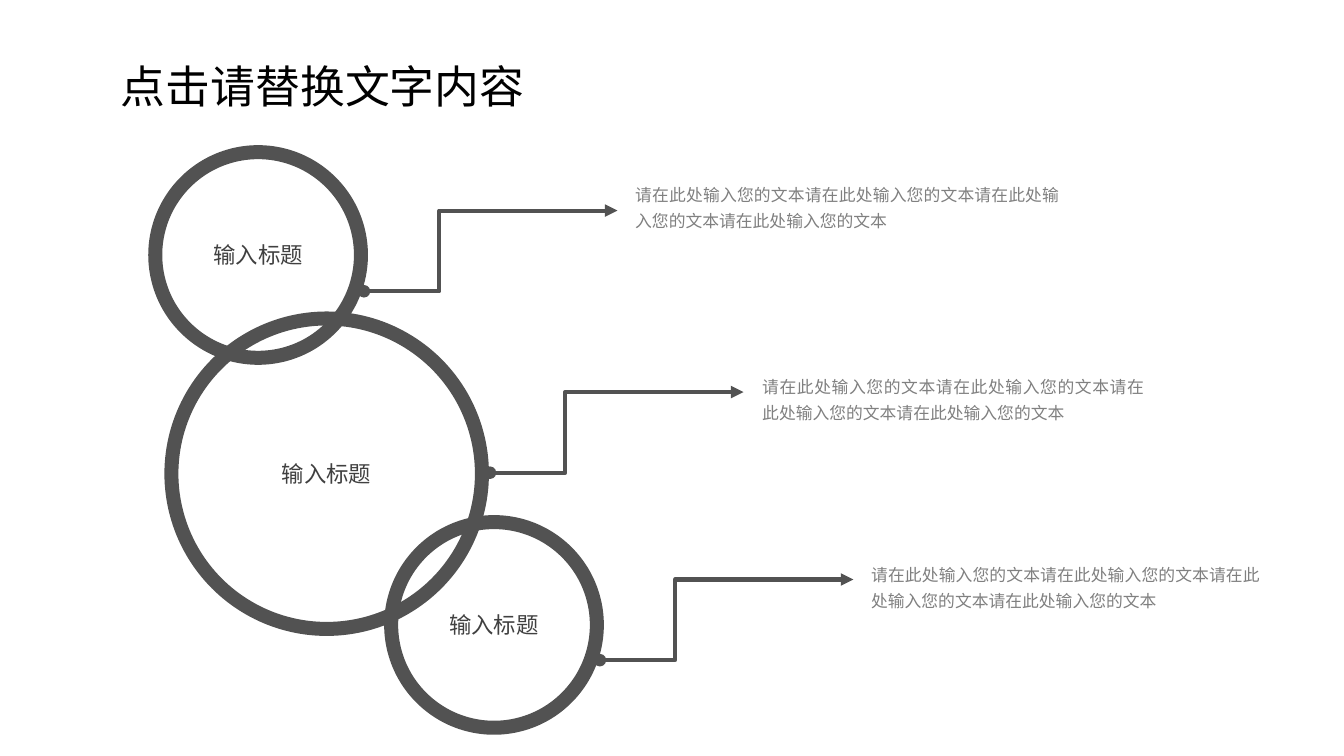
from dataclasses import dataclass
from typing import Any

import pptx
import pptx.dml.color
import pptx.enum.shapes
import pptx.enum.text
import pptx.oxml
import pptx.oxml.ns
import pptx.util

# Square grid: 75 rows over the slide's height
SLIDE_W = pptx.util.Inches(13.33)
SLIDE_H = pptx.util.Inches(7.5)
CELL = SLIDE_H / 75

RING = pptx.dml.color.RGBColor(0x52, 0x52, 0x52)
LABEL = pptx.dml.color.RGBColor(0x40, 0x40, 0x40)
BODY = pptx.dml.color.RGBColor(0x80, 0x80, 0x80)
BLACK = pptx.dml.color.RGBColor(0x00, 0x00, 0x00)

FONT = "Noto Sans CJK SC"
ALIGN = pptx.enum.text.PP_ALIGN
ANCHOR = pptx.enum.text.MSO_ANCHOR
DESCRIPTION = "请在此处输入您的文本" * 4

# Every arrow has the same run, rise and elbow
ARROW_RUN, ARROW_RISE, ELBOW_SHARE = 25.15, 8, 29700


@dataclass(frozen=True)
class Box:
    """Area in grid columns and rows."""
    col: float
    row: float
    cols: float
    rows: float


@dataclass(frozen=True)
class Topic:
    ring: Box
    arrow_col: float
    arrow_row: float
    text: Box


TOPICS = [
    Topic(Box(38.8, 51.8, 20.4, 20.4), 59.5, 65.5, Box(84.9, 49.5, 41.6, 17.1)),
    Topic(Box(17, 31.6, 30.8, 30.8), 48.6, 46.9, Box(74.1, 29.6, 40.9, 19.5)),
    Topic(Box(15.4, 15.1, 20.4, 20.4), 36.1, 28.9, Box(61.5, 13.4, 45.1, 13.9)),
]


def grid(n: float) -> int:
    return round(n * CELL)


def area(box: Box) -> tuple[int, ...]:
    return tuple(grid(n) for n in (box.col, box.row, box.cols, box.rows))


def apply(target: Any, formats: dict[str, Any]) -> None:
    for name, value in formats.items():
        setattr(target, name, value)


def write(sp: Any, text: str, size: float, color: pptx.dml.color.RGBColor,
          frame: dict[str, Any], paragraph: dict[str, Any]) -> None:
    tf = sp.text_frame
    apply(tf, frame)
    p = tf.paragraphs[0]
    apply(p, paragraph)
    r = p.add_run()
    r.text = text
    apply(r.font, {"name": FONT, "size": pptx.util.Pt(size)})
    r.font.color.rgb = color
    # East Asian typeface
    ea = pptx.oxml.parse_xml(
        f'<a:ea {pptx.oxml.ns.nsdecls("a")} typeface="{FONT}"/>')
    r.font._element.append(ea)


def margins(x: float, y: float) -> dict[str, Any]:
    return {"margin_left": pptx.util.Inches(x), "margin_right": pptx.util.Inches(x),
            "margin_top": pptx.util.Inches(y), "margin_bottom": pptx.util.Inches(y)}


def add_ring(shapes: Any, box: Box) -> None:
    sp = shapes.add_shape(pptx.enum.shapes.MSO_SHAPE.OVAL, *area(box))
    sp.shadow.inherit = False
    sp.fill.background()
    sp.line.color.rgb = RING
    sp.line.width = pptx.util.Pt(10)
    write(sp, "输入标题", 16, LABEL,
          margins(0, 0) | {"word_wrap": True, "vertical_anchor": ANCHOR.MIDDLE},
          {"alignment": ALIGN.CENTER})


def add_arrow(shapes: Any, col: float, row: float) -> None:
    cxn = shapes.add_connector(
        pptx.enum.shapes.MSO_CONNECTOR.ELBOW, grid(col), grid(row),
        grid(col + ARROW_RUN), grid(row - ARROW_RISE))
    cxn.line.color.rgb = RING
    cxn.line.width = pptx.util.Pt(3)
    ns = pptx.oxml.ns.nsdecls("a")
    sp_pr = cxn._element.spPr
    # Line ends, elbow position and no shadow
    ln = sp_pr.find(pptx.oxml.ns.qn("a:ln"))
    for tag, kind in (("headEnd", "oval"), ("tailEnd", "triangle")):
        ln.append(pptx.oxml.parse_xml(f'<a:{tag} {ns} type="{kind}"/>'))
    guides = sp_pr.find(".//" + pptx.oxml.ns.qn("a:avLst"))
    guides.append(pptx.oxml.parse_xml(
        f'<a:gd {ns} name="adj1" fmla="val {ELBOW_SHARE}"/>'))
    sp_pr.append(pptx.oxml.parse_xml(f"<a:effectLst {ns}/>"))


def add_description(shapes: Any, box: Box) -> None:
    sp = shapes.add_textbox(*area(box))
    write(sp, DESCRIPTION, 12, BODY,
          margins(0.15, 0.07) | {"word_wrap": True, "vertical_anchor": ANCHOR.MIDDLE},
          {"alignment": ALIGN.JUSTIFY, "line_spacing": 1.3})


def add_title(shapes: Any) -> None:
    sp = shapes.title
    apply(sp, dict(zip(("left", "top", "width", "height"),
                       area(Box(11, 5.3, 42.4, 6.4)))))
    write(sp, "点击请替换文字内容", 32, BLACK,
          margins(0.1, 0.05) | {
              "word_wrap": False, "vertical_anchor": ANCHOR.TOP,
              "auto_size": pptx.enum.text.MSO_AUTO_SIZE.SHAPE_TO_FIT_TEXT},
          {"alignment": ALIGN.LEFT})


def main() -> None:
    prs = pptx.Presentation()
    apply(prs, {"slide_width": SLIDE_W, "slide_height": SLIDE_H})
    shapes = prs.slides.add_slide(prs.slide_layouts[5]).shapes

    # Heading
    add_title(shapes)

    # Overlapping rings, each pointing to its description
    for topic in TOPICS:
        add_ring(shapes, topic.ring)
        add_arrow(shapes, topic.arrow_col, topic.arrow_row)
        add_description(shapes, topic.text)

    prs.save("out.pptx")


if __name__ == "__main__":
    main()
